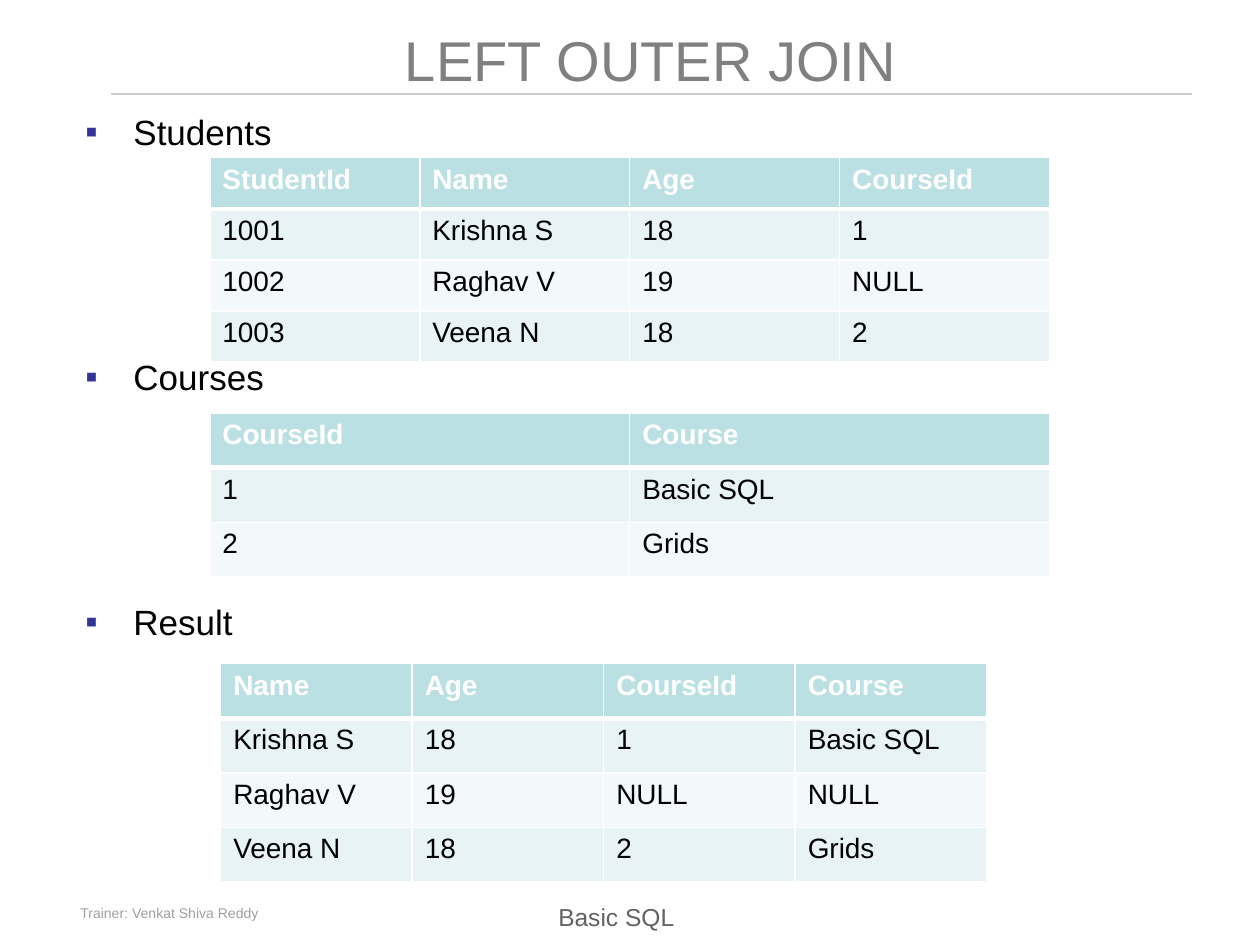
from lxml import etree
from pptx import Presentation
from pptx import util as u
from pptx.dml.color import RGBColor
from pptx.enum import shapes, text
from pptx.oxml.ns import qn

Cm, Pt = u.Cm, u.Pt


def colour(value):
    return RGBColor.from_string(value)


def add_border(cell, side, width):
    props = cell._tc.get_or_add_tcPr()
    line = etree.Element(qn(f"a:ln{side}"), w=str(Pt(width)))
    fill = etree.SubElement(line, qn("a:solidFill"))
    etree.SubElement(fill, qn("a:srgbClr"), val="FFFFFF")
    props.insert("LRTB".index(side), line)


deck = Presentation()
deck.slide_width, deck.slide_height = Cm(25.4), Cm(19.05)
page = deck.slides.add_slide(deck.slide_layouts[5])

# Footer texts: left, top, width, height, wording, size, colour, alignment
footers = [
    (8.97, 17.98, 6.91, 0.89, "Basic SQL", 14, "626262", text.PP_ALIGN.CENTER),
    (1.37, 18.06, 6.25, 0.64, "Trainer: Venkat Shiva Reddy", 8, "9F9F9F", text.PP_ALIGN.LEFT),
]
for left, top, width, height, wording, size, shade, align in footers:
    box = page.shapes.add_textbox(Cm(left), Cm(top), Cm(width), Cm(height))
    box.text_frame.word_wrap = True
    para = box.text_frame.paragraphs[0]
    para.text = wording
    para.alignment = align
    para.line_spacing = 1.15
    para.font.name, para.font.size = "Arial", Pt(size)
    para.font.color.rgb = colour(shade)

# Rule under the title
rule = page.shapes.add_connector(
    shapes.MSO_CONNECTOR.STRAIGHT, Cm(2.24), Cm(1.9), Cm(24.03), Cm(1.9))
rule.line.color.rgb = colour("CCCCCC")
rule.line.width = Pt(1)
etree.SubElement(rule._element.spPr, qn("a:effectLst"))

# Title
title = page.shapes.title
title.left, title.top, title.width, title.height = Cm(1.47), Cm(0.41), Cm(23.29), Cm(1.55)
title.text_frame.text = "LEFT OUTER JOIN"
title.text_frame.auto_size = text.MSO_AUTO_SIZE.NONE
title.text_frame.vertical_anchor = text.MSO_ANCHOR.MIDDLE
para = title.text_frame.paragraphs[0]
para.alignment = text.PP_ALIGN.CENTER
para.font.name, para.font.size = "Arial", Pt(32)
para.font.color.rgb = colour("808080")

# Bulleted headings, spaced to leave room for the tables
headings = page.shapes.add_textbox(Cm(1.47), Cm(2.11), Cm(23.29), Cm(15.88))
frame = headings.text_frame
frame.word_wrap = True
for index, heading in enumerate(["Students", "Courses", "Result"]):
    para = frame.add_paragraph() if index else frame.paragraphs[0]
    para.text = heading
    para.alignment = text.PP_ALIGN.JUSTIFY
    para.space_before = Pt(116 if index else 4)
    para.font.name, para.font.size = "Arial", Pt(20)
    para.font.color.rgb = colour("000000")
    props = para._p.get_or_add_pPr()
    props.set("marL", str(Cm(0.97)))
    props.set("indent", str(-Cm(0.97)))
    bullet_colour = etree.Element(qn("a:buClr"))
    etree.SubElement(bullet_colour, qn("a:srgbClr"), val="333399")
    bullet_font = etree.Element(qn("a:buFont"), typeface="Arial")
    bullet = etree.Element(qn("a:buChar"), char="▪")
    for part in (bullet_colour, bullet_font, bullet):
        props.find(qn("a:defRPr")).addprevious(part)

# Tables: left, top, width, row height, rows
tables = [
    (4.23, 3.18, 16.93, 1.03, [
        ["StudentId", "Name", "Age", "CourseId"],
        ["1001", "Krishna S", "18", "1"],
        ["1002", "Raghav V", "19", "NULL"],
        ["1003", "Veena N", "18", "2"]]),
    (4.23, 8.33, 16.93, 1.1, [
        ["CourseId", "Course"],
        ["1", "Basic SQL"],
        ["2", "Grids"]]),
    (4.45, 13.38, 15.44, 1.1, [
        ["Name", "Age", "CourseId", "Course"],
        ["Krishna S", "18", "1", "Basic SQL"],
        ["Raghav V", "19", "NULL", "NULL"],
        ["Veena N", "18", "2", "Grids"]]),
]
for left, top, width, row_height, rows in tables:
    table = page.shapes.add_table(
        len(rows), len(rows[0]), Cm(left), Cm(top), Cm(width), Cm(row_height * len(rows))).table
    for r, row in enumerate(rows):
        header = r == 0
        fill = "BBE0E3" if header else ("F3F9FA", "E7F3F4")[r % 2]
        for c, value in enumerate(row):
            cell = table.cell(r, c)
            cell.text = value
            cell.fill.solid()
            cell.fill.fore_color.rgb = colour(fill)
            font = cell.text_frame.paragraphs[0].font
            font.name, font.size, font.bold = "Arial", Pt(16), header
            font.color.rgb = colour("FFFFFF" if header else "000000")
            for side in "LRTB":
                thick = (r, side) in [(0, "B"), (1, "T")]
                add_border(cell, side, 3 if thick else 1)

deck.save("out.pptx")
